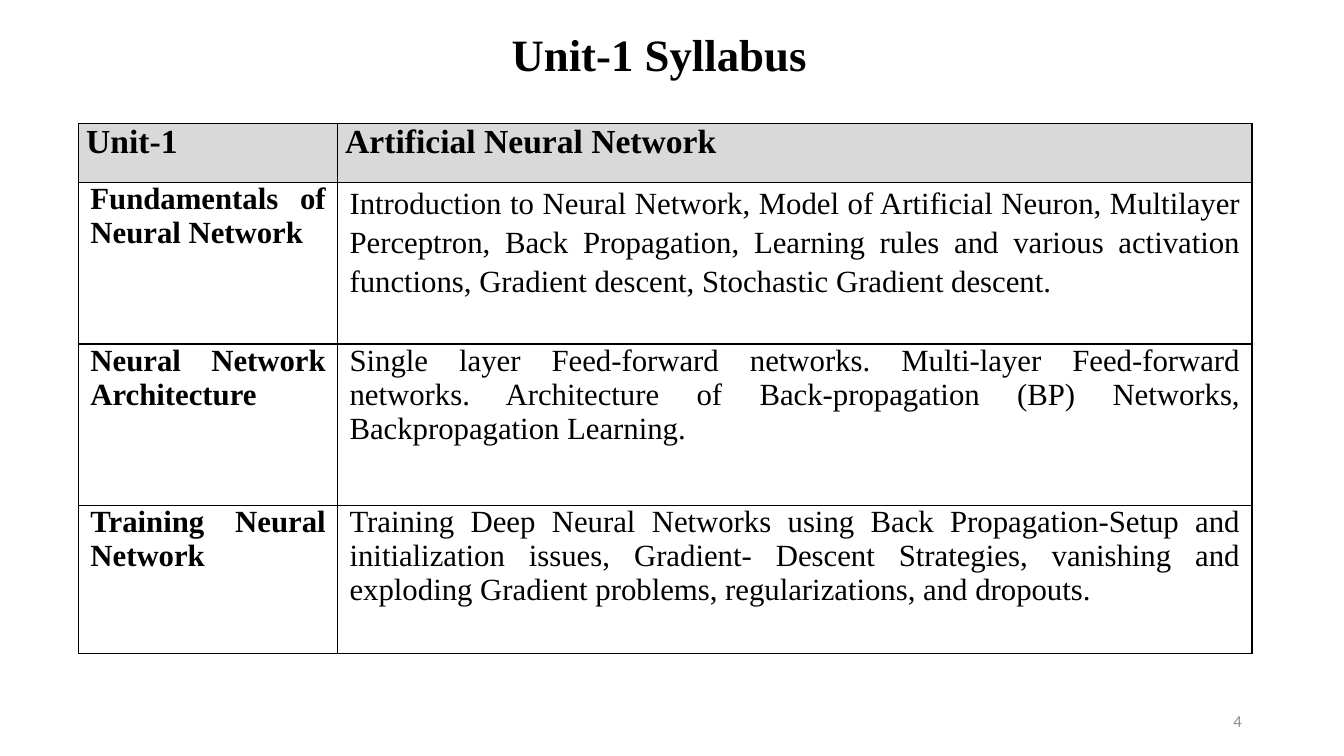
from dataclasses import dataclass

from lxml import etree
from pptx import Presentation
from pptx.dml.color import RGBColor
from pptx.enum.text import MSO_ANCHOR, PP_ALIGN
from pptx.oxml.ns import qn
from pptx.slide import Slide
from pptx.table import Table, _Cell
from pptx.text.text import TextFrame
from pptx.util import Cm, Length, Pt

CENTER = PP_ALIGN.CENTER
RIGHT = PP_ALIGN.RIGHT
JUSTIFY = PP_ALIGN.JUSTIFY
MIDDLE = MSO_ANCHOR.MIDDLE


@dataclass(frozen=True)
class Theme:
    black: RGBColor = RGBColor(0x00, 0x00, 0x00)
    number_gray: RGBColor = RGBColor(0x8C, 0x8C, 0x8C)
    header_gray: RGBColor = RGBColor(0xD9, 0xD9, 0xD9)
    serif: str = "Times New Roman"
    sans: str = "Calibri"
    title_size: Length = Pt(32)
    header_size: Length = Pt(24)
    body_size: Length = Pt(22)
    number_size: Length = Pt(12)
    border_width: Length = Pt(1)


THEME = Theme()


@dataclass(frozen=True)
class TextStyle:
    size: Length
    alignment: PP_ALIGN
    bold: bool = False
    font: str = THEME.serif
    color: RGBColor = THEME.black
    line_spacing: float = 1.0
    space_after: Length = Pt(0)


@dataclass(frozen=True)
class Label:
    text: str
    left: Length
    top: Length
    width: Length
    height: Length
    style: TextStyle


@dataclass(frozen=True)
class SyllabusRow:
    topic: str
    content: str
    height: Length
    topic_style: TextStyle
    content_style: TextStyle
    side_margin: Length = Cm(0.3)
    is_header: bool = False


HEADER_STYLE = TextStyle(THEME.header_size, JUSTIFY, bold=True)
TOPIC_STYLE = TextStyle(THEME.body_size, JUSTIFY, bold=True)
CONTENT_STYLE = TextStyle(THEME.body_size, JUSTIFY)
SPACED_STYLE = TextStyle(THEME.body_size, JUSTIFY, line_spacing=1.15, space_after=Pt(8))

LABELS = [
    Label("Unit-1 Syllabus", Cm(2.01), Cm(0.25), Cm(29.21), Cm(2.39),
          TextStyle(THEME.title_size, CENTER, bold=True, line_spacing=0.9)),
    Label("4", Cm(23.93), Cm(17.65), Cm(7.62), Cm(1.02),
          TextStyle(THEME.number_size, RIGHT, font=THEME.sans, color=THEME.number_gray)),
]

COLUMN_WIDTHS = [Cm(6.53), Cm(23.04)]

SYLLABUS_ROWS = [
    SyllabusRow("Unit-1", "Artificial Neural Network", Cm(1.47),
                HEADER_STYLE, HEADER_STYLE, side_margin=Cm(0.19), is_header=True),
    SyllabusRow(
        "Fundamentals of Neural Network",
        "Introduction to Neural Network, Model of Artificial Neuron, Multilayer Perceptron, "
        "Back Propagation, Learning rules and various activation functions, "
        "Gradient descent, Stochastic Gradient descent.",
        Cm(4.08), TOPIC_STYLE, SPACED_STYLE),
    SyllabusRow(
        "Neural Network Architecture",
        "Single layer Feed-forward networks. Multi-layer Feed-forward networks. "
        "Architecture of Back-propagation (BP) Networks, Backpropagation Learning.",
        Cm(4.06), TOPIC_STYLE, CONTENT_STYLE),
    SyllabusRow(
        "Training Neural Network",
        "Training Deep Neural Networks using Back Propagation-Setup and initialization issues, "
        "Gradient- Descent Strategies, vanishing and exploding Gradient problems, "
        "regularizations, and dropouts.",
        Cm(3.73), TOPIC_STYLE, CONTENT_STYLE),
]


def write_text(text_frame: TextFrame, text: str, style: TextStyle) -> None:
    text_frame.text = text
    text_frame.word_wrap = True
    for paragraph in text_frame.paragraphs:
        paragraph.alignment = style.alignment
        paragraph.line_spacing = style.line_spacing
        paragraph.space_after = style.space_after
        for run in paragraph.runs:
            run.font.name = style.font
            run.font.size = style.size
            run.font.bold = style.bold
            run.font.color.rgb = style.color


def add_label(slide: Slide, label: Label) -> None:
    text_box = slide.shapes.add_textbox(label.left, label.top, label.width, label.height)
    write_text(text_box.text_frame, label.text, label.style)
    text_box.text_frame.vertical_anchor = MIDDLE


def add_borders(cell: _Cell) -> None:
    properties = cell._tc.get_or_add_tcPr()
    for side in ("a:lnL", "a:lnR", "a:lnT", "a:lnB"):
        line = etree.SubElement(properties, qn(side), w=str(int(THEME.border_width)))
        fill = etree.SubElement(line, qn("a:solidFill"))
        etree.SubElement(fill, qn("a:srgbClr"), val=str(THEME.black))


def fill_row(table: Table, row_index: int, row: SyllabusRow) -> None:
    table.rows[row_index].height = row.height
    entries = [(row.topic, row.topic_style), (row.content, row.content_style)]
    for column_index, (text, style) in enumerate(entries):
        cell = table.cell(row_index, column_index)
        cell.margin_left = cell.margin_right = row.side_margin
        cell.margin_top = cell.margin_bottom = Cm(0)
        write_text(cell.text_frame, text, style)
        add_borders(cell)
        if row.is_header:
            cell.fill.solid()
            cell.fill.fore_color.rgb = THEME.header_gray
        else:
            cell.fill.background()


def add_syllabus_table(slide: Slide) -> None:
    table_height = sum(row.height for row in SYLLABUS_ROWS)
    frame = slide.shapes.add_table(
        len(SYLLABUS_ROWS), len(COLUMN_WIDTHS),
        Cm(1.98), Cm(3.12), sum(COLUMN_WIDTHS), table_height)
    table = frame.table
    table.first_row = False
    table.horz_banding = False
    for column, width in zip(table.columns, COLUMN_WIDTHS):
        column.width = width
    for row_index, row in enumerate(SYLLABUS_ROWS):
        fill_row(table, row_index, row)


def main() -> None:
    presentation = Presentation()
    presentation.slide_width = Cm(33.87)
    presentation.slide_height = Cm(19.05)
    slide = presentation.slides.add_slide(presentation.slide_layouts[6])
    for label in LABELS:
        add_label(slide, label)
    add_syllabus_table(slide)
    presentation.save("out.pptx")


if __name__ == "__main__":
    main()
